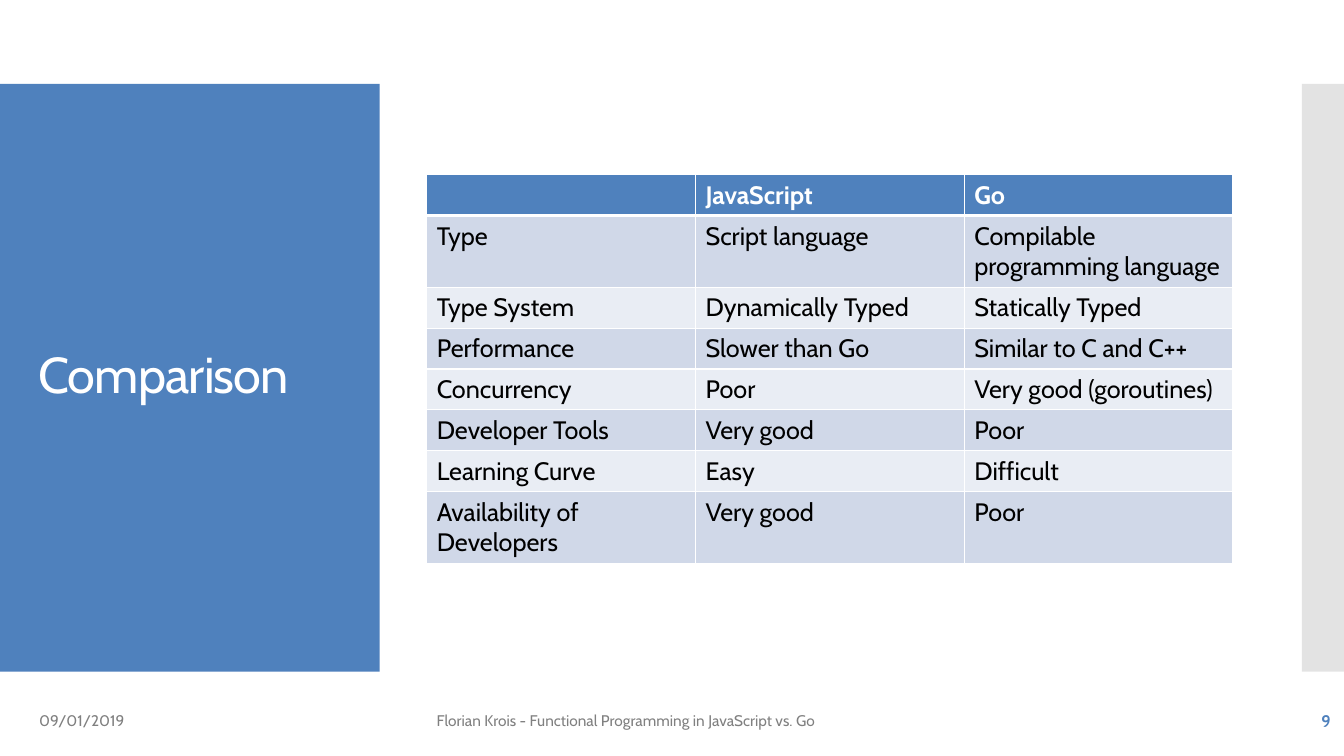
from dataclasses import dataclass

from lxml.etree import SubElement
from pptx import Presentation
from pptx.dml.color import RGBColor
from pptx.enum.shapes import MSO_SHAPE as Preset
from pptx.enum.text import MSO_ANCHOR as Anchor, MSO_AUTO_SIZE as AutoSize, PP_ALIGN as Align
from pptx.oxml import parse_xml
from pptx.oxml.ns import nsdecls, qn
from pptx.util import Pt

BLUE, WHITE, BLACK, GREY = "4F81BD", "FFFFFF", "000000", "808080"
BANDS = ("E9EDF4", "D0D8E8")
FONT = "Cabin"
COLUMN_WIDTH, ROW_HEIGHT = 192, 29.2
CONTENT_LEFT = 304.8
ROWS = (
    ("", "JavaScript", "Go"),
    ("Type", "Script language", "Compilable programming language"),
    ("Type System", "Dynamically Typed", "Statically Typed"),
    ("Performance", "Slower than Go", "Similar to C and C++"),
    ("Concurrency", "Poor", "Very good (goroutines)"),
    ("Developer Tools", "Very good", "Poor"),
    ("Learning Curve", "Easy", "Difficult"),
    ("Availability of Developers", "Very good", "Poor"),
)


@dataclass
class Panel:
    """A full-height colour block with its opacity in percent."""
    left: float
    width: float
    color: str
    opacity: int = 100


@dataclass
class FooterItem:
    """One line of text at the foot of the slide."""
    text: str
    left: float
    width: float
    color: str = GREY
    size: int = 11
    bold: bool = False
    align: Align = Align.LEFT


PANELS = (Panel(0, 271.2, BLUE), Panel(930, 30, "C8C8C8", 50))
FOOTER = (
    FooterItem("09/01/2019", 20.8, 216),
    FooterItem("Florian Krois - Functional Programming in JavaScript vs. Go", CONTENT_LEFT, 465),
    FooterItem("9", 837.6, 120, BLUE, 12, True, Align.RIGHT),
)


def rgb(color: str) -> RGBColor:
    """Turn a hex string into a colour."""
    return RGBColor.from_string(color)


def set_values(target, values: dict) -> None:
    """Set each named attribute on the target."""
    for name, value in values.items():
        setattr(target, name, value)


def write(frame, text: str, size: float, color: str, bold: bool = False, align=Align.LEFT) -> None:
    """Write one formatted paragraph into a text frame."""
    paragraph = frame.paragraphs[0]
    paragraph.alignment = align
    if text:
        run = paragraph.add_run()
        run.text = text
        set_values(run.font, {"name": FONT, "size": Pt(size), "bold": bold})
        run.font.color.rgb = rgb(color)


def add_title(slide, text: str):
    """Place and format the title placeholder."""
    title = slide.shapes.title
    set_values(title, {"left": Pt(20.2), "top": Pt(88.6), "width": Pt(231.8), "height": Pt(362.2)})
    frame = title.text_frame
    set_values(frame, {"word_wrap": True, "auto_size": AutoSize.NONE, "vertical_anchor": Anchor.MIDDLE})
    write(frame, text, 36, WHITE)
    paragraph = frame.paragraphs[0]
    paragraph.line_spacing = 0.9
    paragraph.runs[0].font._element.set("spc", "-60")
    return title


def add_panel(slide, panel: Panel, title) -> None:
    """Draw a panel behind the title."""
    shape = slide.shapes.add_shape(Preset.RECTANGLE, Pt(panel.left), Pt(60), Pt(panel.width), Pt(419.8))
    shape.shadow.inherit = False
    shape.fill.solid()
    shape.fill.fore_color.rgb = rgb(panel.color)
    shape.line.fill.background()
    if panel.opacity < 100:
        color = shape.element.spPr.find(qn("a:solidFill"))[0]
        SubElement(color, qn("a:alpha"), val=str(panel.opacity * 1000))
    title.element.addprevious(shape.element)


def add_borders(cell, widths: dict) -> None:
    """Give a cell white borders of the given widths, ahead of its fill."""
    properties = cell._tc.get_or_add_tcPr()
    for index, (side, width) in enumerate(widths.items()):
        properties.insert(index, parse_xml(
            f'<a:ln{side} {nsdecls("a")} w="{Pt(width)}"><a:solidFill>'
            f'<a:srgbClr val="{WHITE}"/></a:solidFill></a:ln{side}>'))


def add_comparison(slide) -> None:
    """Draw the comparison table with a header and banded rows."""
    columns = len(ROWS[0])
    table = slide.shapes.add_table(
        len(ROWS), columns, Pt(CONTENT_LEFT), Pt(124.8),
        Pt(columns * COLUMN_WIDTH), Pt(len(ROWS) * ROW_HEIGHT)).table
    for row_index, texts in enumerate(ROWS):
        header = row_index == 0
        table.rows[row_index].height = Pt(ROW_HEIGHT)
        borders = {"L": 1, "R": 1, "T": 3 if row_index == 1 else 1, "B": 3 if header else 1}
        for column_index, text in enumerate(texts):
            cell = table.cell(row_index, column_index)
            write(cell.text_frame, text, 18, WHITE if header else BLACK, header)
            cell.fill.solid()
            cell.fill.fore_color.rgb = rgb(BLUE if header else BANDS[row_index % 2])
            add_borders(cell, borders)


def add_footer_item(slide, item: FooterItem) -> None:
    """Draw one footer text."""
    box = slide.shapes.add_textbox(Pt(item.left), Pt(500.4), Pt(item.width), Pt(28.8))
    set_values(box.text_frame, {"word_wrap": True, "vertical_anchor": Anchor.MIDDLE})
    write(box.text_frame, item.text, item.size, item.color, item.bold, item.align)


def main() -> None:
    """Build and save the slide."""
    presentation = Presentation()
    set_values(presentation, {"slide_width": Pt(960), "slide_height": Pt(540)})
    slide = presentation.slides.add_slide(presentation.slide_layouts.get_by_name("Title Only"))
    title = add_title(slide, "Comparison")
    for panel in PANELS:
        add_panel(slide, panel, title)
    add_comparison(slide)
    for item in FOOTER:
        add_footer_item(slide, item)
    presentation.save("out.pptx")


main()
